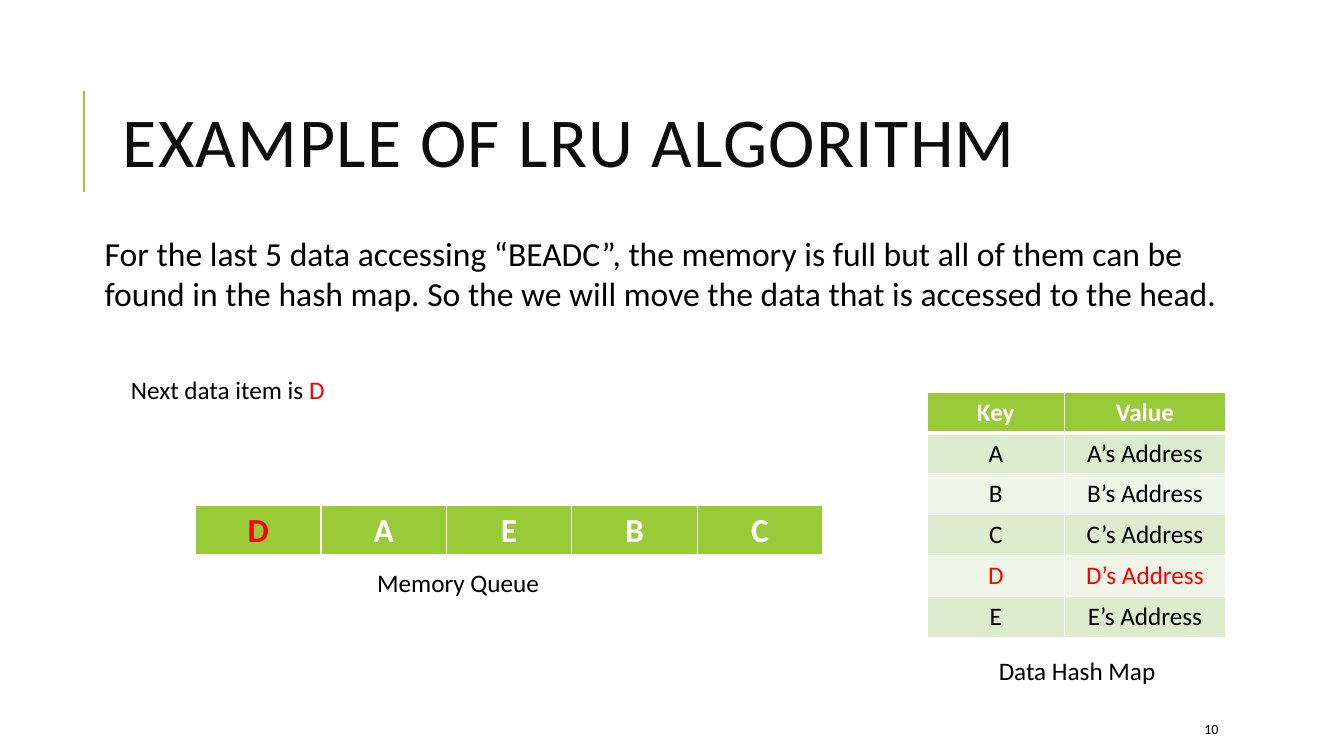
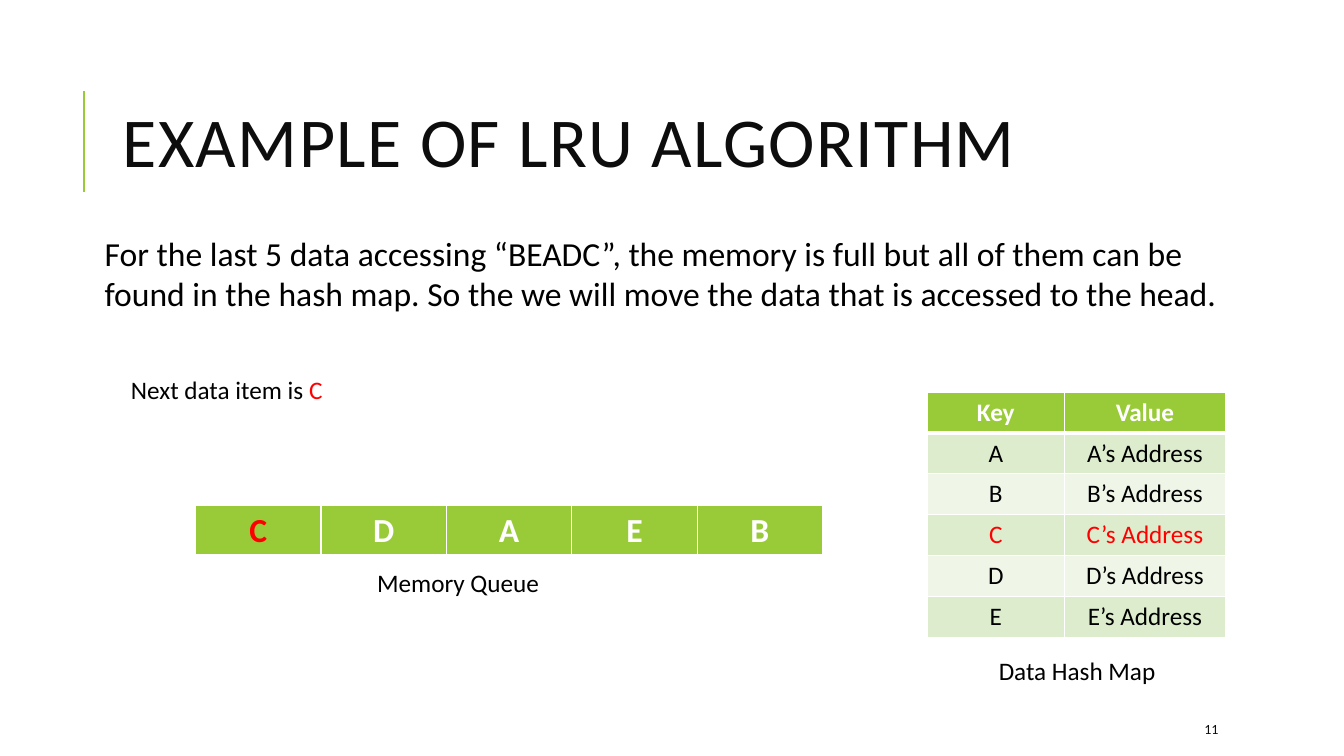
from pptx import Presentation
from pptx.dml.color import RGBColor
from pptx.enum import shapes, text
from pptx.oxml import parse_xml
from pptx.oxml.ns import nsdecls
from pptx.util import Cm, Pt

GREEN = RGBColor(0x99, 0xCB, 0x38)
BAND_DARK = RGBColor(0xDE, 0xEC, 0xCE)
BAND_LIGHT = RGBColor(0xEF, 0xF6, 0xE8)
WHITE = RGBColor(0xFF, 0xFF, 0xFF)
BLACK = RGBColor(0, 0, 0)
DARK = RGBColor(0x0D, 0x0D, 0x0D)
RED = RGBColor(0xFF, 0, 0)
FONT = "Calibri"
LEFT, CENTER = text.PP_ALIGN.LEFT, text.PP_ALIGN.CENTER

TITLE = "EXAMPLE OF LRU ALGORITHM"
BODY = ("For the last 5 data accessing “BEADC”, the memory is full but all of them can be "
        "found in the hash map. So the we will move the data that is accessed to the head.")
KEYS = "ABCDE"
STEPS = [(10, "DAEBC"), (11, "CDAEB")]  # page number, queue from head to tail


def add_text(s, x, y, w, h, content, size, align=LEFT, color=BLACK):
    tf = s.shapes.add_textbox(Cm(x), Cm(y), Cm(w), Cm(h)).text_frame
    tf.word_wrap = True
    p = tf.paragraphs[0]
    p.text = content
    p.alignment = align
    p.font.name, p.font.size, p.font.color.rgb = FONT, Pt(size), color
    return tf


def fill_cell(cell, content, size, color, fill, bold=False, top=1, bottom=1):
    p = cell.text_frame.paragraphs[0]
    p.text = content
    p.alignment = CENTER
    p.font.name, p.font.size = FONT, Pt(size)
    p.font.bold, p.font.color.rgb = bold, color
    # White borders come before the fill in the cell properties
    tcPr = cell._tc.get_or_add_tcPr()
    for side, width in (("L", 1), ("R", 1), ("T", top), ("B", bottom)):
        tcPr.append(parse_xml(
            f'<a:ln{side} {nsdecls("a")} w="{Pt(width)}"><a:solidFill>'
            f'<a:srgbClr val="{WHITE}"/></a:solidFill></a:ln{side}>'))
    cell.fill.solid()
    cell.fill.fore_color.rgb = fill


prs = Presentation()
prs.slide_width, prs.slide_height = Cm(33.87), Cm(19.05)

for number, queue in STEPS:
    current = queue[0]
    s = prs.slides.add_slide(prs.slide_layouts[5])

    # Title with its accent line
    line = s.shapes.add_connector(shapes.MSO_CONNECTOR.STRAIGHT,
                                  Cm(2.12), Cm(4.83), Cm(2.12), Cm(2.29))
    line.line.color.rgb, line.line.width = GREEN, Pt(1.5)
    line._element.spPr.append(parse_xml(f'<a:effectLst {nsdecls("a")}/>'))
    title = s.shapes.title
    title.left, title.top, title.width, title.height = Cm(2.84), Cm(1.63), Cm(27), Cm(4.17)
    tf = title.text_frame
    tf.auto_size = text.MSO_AUTO_SIZE.NONE
    tf.vertical_anchor = text.MSO_ANCHOR.MIDDLE
    p = tf.paragraphs[0]
    p.text = TITLE
    p.alignment, p.line_spacing = LEFT, 0.8
    p.font.name, p.font.size, p.font.color.rgb = FONT, Pt(50), DARK
    p.runs[0].font._element.set("spc", "100")

    # Page number
    tf = add_text(s, 30.1, 17.98, 2.69, 0.76, str(number), 10, color=DARK)
    tf.vertical_anchor = text.MSO_ANCHOR.MIDDLE

    # Explanation and next item
    add_text(s, 2.39, 5.74, 28.63, 2.31, BODY, 24)
    tf = add_text(s, 3.05, 9.32, 8.25, 1.02, "Next data item is ", 18)
    r = tf.paragraphs[0].add_run()
    r.text = current
    r.font.color.rgb = RED

    # Hash map
    table = s.shapes.add_table(len(KEYS) + 1, 2, Cm(23.37), Cm(9.88), Cm(7.52), Cm(6.18)).table
    table.columns[0].width, table.columns[1].width = Cm(3.45), Cm(4.07)
    for col, heading in enumerate(("Key", "Value")):
        fill_cell(table.cell(0, col), heading, 18, WHITE, GREEN, bold=True, bottom=3)
    for row, key in enumerate(KEYS, start=1):
        for col, content in enumerate((key, f"{key}’s Address")):
            fill_cell(table.cell(row, col), content, 18,
                      RED if key == current else BLACK,
                      BAND_DARK if row % 2 else BAND_LIGHT,
                      top=3 if row == 1 else 1)
    add_text(s, 23.5, 16.38, 7.29, 1.02, "Data Hash Map", 18, CENTER)

    # Memory queue
    table = s.shapes.add_table(1, len(queue), Cm(4.93), Cm(12.73), Cm(15.8), Cm(1.27)).table
    for col, key in enumerate(queue):
        fill_cell(table.cell(0, col), key, 24, RED if key == current else WHITE,
                  GREEN, bold=True, bottom=3)
    add_text(s, 7.9, 14.17, 7.29, 1.02, "Memory Queue", 18, CENTER)

prs.save("out.pptx")
